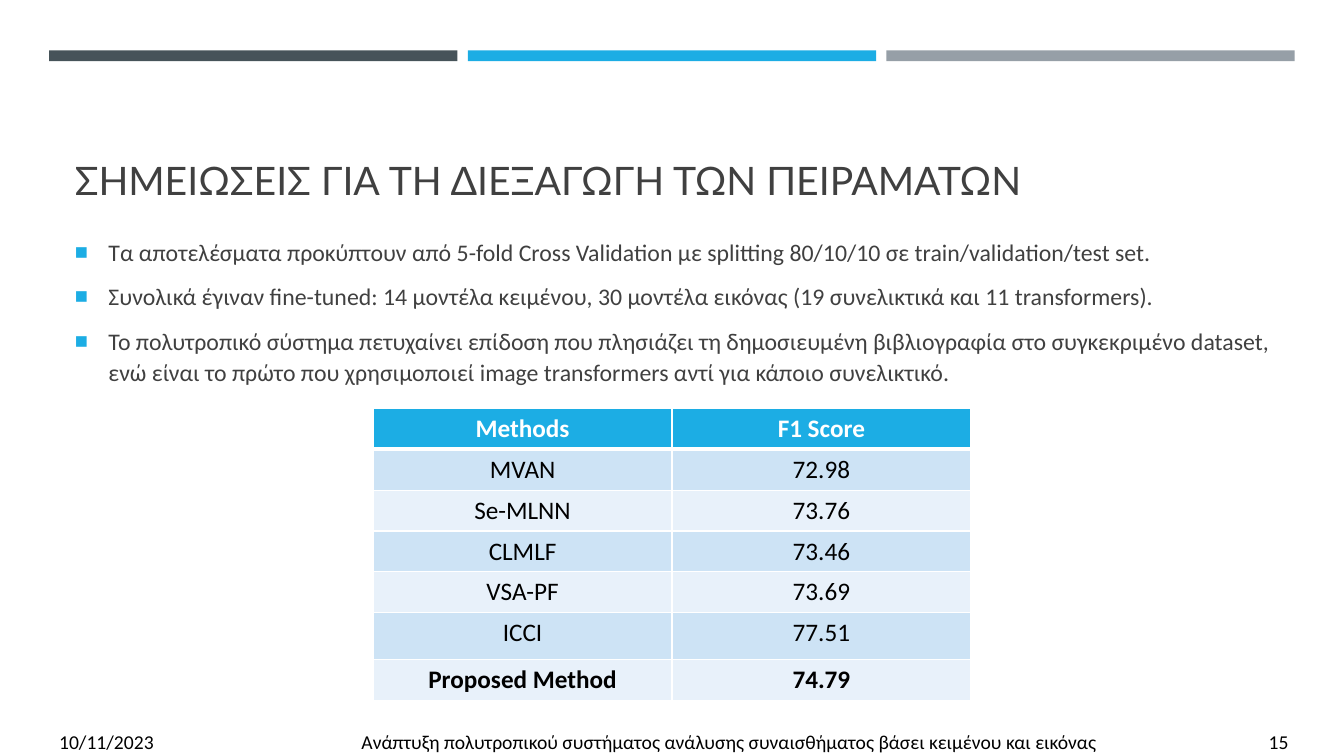
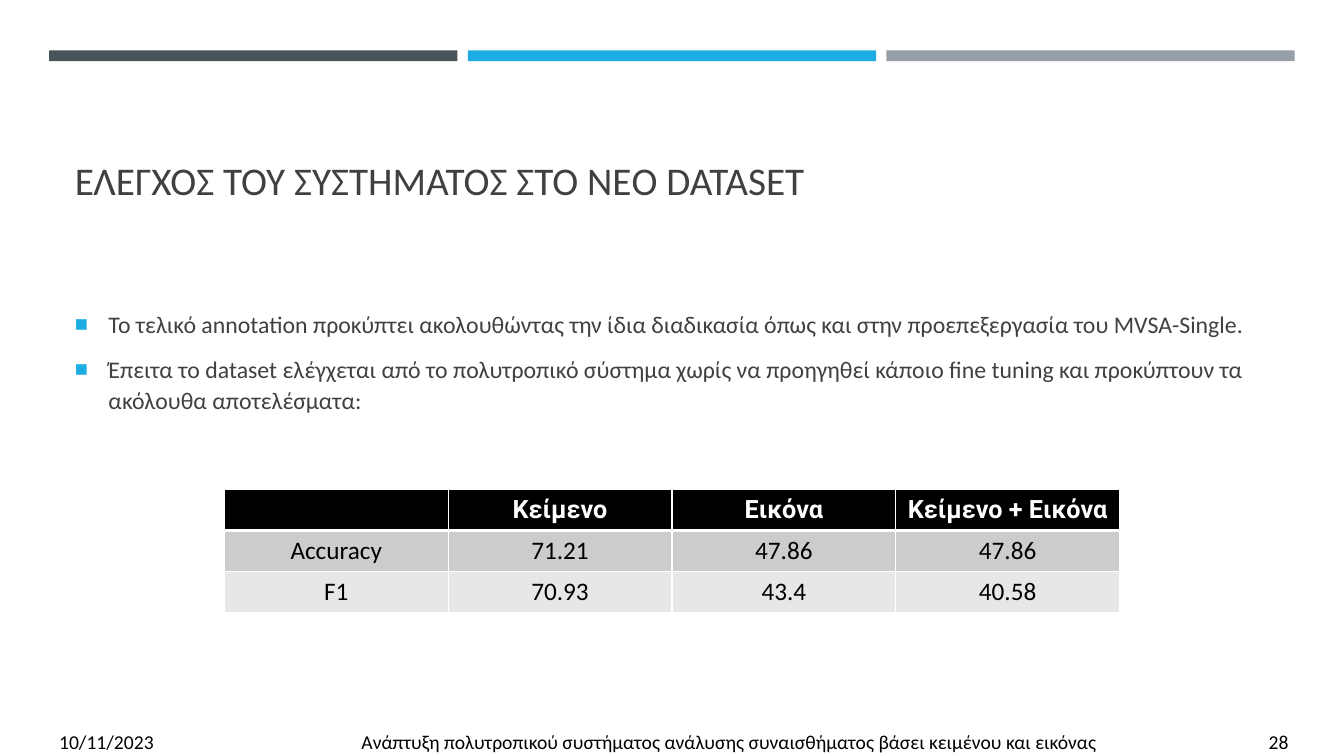
from lxml.etree import SubElement
from pptx import Presentation
from pptx.dml.color import RGBColor
from pptx.enum.shapes import MSO_SHAPE
from pptx.enum.text import MSO_ANCHOR, MSO_AUTO_SIZE, PP_ALIGN
from pptx.oxml.ns import qn
from pptx.util import Cm, Pt

COLORS = {
    "slate": "465359",
    "blue": "1CADE4",
    "gray": "969FA7",
    "text": "404040",
    "black": "000000",
    "white": "FFFFFF",
    "blue_band": "CDE3F5",
    "blue_light": "E8F1FA",
    "gray_band": "CCCCCC",
    "gray_light": "E7E7E7",
}
FOOTER = "Ανάπτυξη πολυτροπικού συστήματος ανάλυσης συναισθήματος βάσει κειμένου και εικόνας"
SLIDES = [
    {
        "title": "ΣΗΜΕΙΩΣΕΙΣ ΓΙΑ ΤΗ ΔΙΕΞΑΓΩΓΗ ΤΩΝ ΠΕΙΡΑΜΑΤΩΝ",
        "title_font": "Lato",
        "bullets": [
            "Τα αποτελέσματα προκύπτουν από 5-fold Cross Validation με splitting 80/10/10 σε train/validation/test set.",
            "Συνολικά έγιναν fine-tuned: 14 μοντέλα κειμένου, 30 μοντέλα εικόνας (19 συνελικτικά και 11 transformers).",
            "Το πολυτροπικό σύστημα πετυχαίνει επίδοση που πλησιάζει τη δημοσιευμένη βιβλιογραφία στο συγκεκριμένο dataset, ενώ είναι το πρώτο που χρησιμοποιεί image transformers αντί για κάποιο συνελικτικό.",
        ],
        "body_top": 5.7,
        "body_height": 4.25,
        "rows": [
            ["Methods", "F1 Score"],
            ["MVAN", "72.98"],
            ["Se-MLNN", "73.76"],
            ["CLMLF", "73.46"],
            ["VSA-PF", "73.69"],
            ["ICCI", "77.51"],
            ["Proposed Method", "74.79"],
        ],
        "table_top": 10.29,
        "column_width": 7.53,
        "tall_rows": {5: 1.18},
        "bold_rows": {0, 6},
        "header_font": "Calibri",
        "fills": ["blue", "blue_band", "blue_light"],
        "number": "15",
    },
    {
        "title": "ΕΛΕΓΧΟΣ ΤΟΥ ΣΥΣΤΗΜΑΤΟΣ ΣΤΟ ΝEΟ DATASET",
        "title_font": "Calibri",
        "bullets": [
            "Το τελικό annotation προκύπτει ακολουθώντας την ίδια διαδικασία όπως και στην προεπεξεργασία του MVSA-Single.",
            "Έπειτα το dataset ελέγχεται από το πολυτροπικό σύστημα χωρίς να προηγηθεί κάποιο fine tuning και προκύπτουν τα ακόλουθα αποτελέσματα:",
        ],
        "body_top": 6.5,
        "body_height": 5.18,
        "rows": [
            ["", "Κείμενο", "Εικόνα", "Κείμενο + Εικόνα"],
            ["Accuracy", "71.21", "47.86", "47.86"],
            ["F1", "70.93", "43.4", "40.58"],
        ],
        "table_top": 12.34,
        "column_width": 5.64,
        "tall_rows": {},
        "bold_rows": {0},
        "header_font": "Roboto",
        "fills": ["black", "gray_band", "gray_light"],
        "number": "28",
    },
]


def format_runs(paragraph, font_name, size, color, bold=False):
    for run in paragraph.runs:
        run.font.name = font_name
        run.font.size = Pt(size)
        run.font.bold = bold
        run.font.color.rgb = RGBColor.from_string(COLORS[color])


def add_borders(cell, top, bottom):
    properties = cell._tc.get_or_add_tcPr()
    for side, width in (("L", 1), ("R", 1), ("T", top), ("B", bottom)):
        line = SubElement(properties, qn(f"a:ln{side}"), w=str(Pt(width)))
        fill = SubElement(line, qn("a:solidFill"))
        SubElement(fill, qn("a:srgbClr"), val=COLORS["white"])


presentation = Presentation()
presentation.slide_width = Cm(33.87)
presentation.slide_height = Cm(19.05)

for content in SLIDES:
    slide = presentation.slides.add_slide(presentation.slide_layouts[1])

    for index, color in enumerate(("slate", "blue", "gray")):
        bar = slide.shapes.add_shape(
            MSO_SHAPE.RECTANGLE, Cm(1.24 + index * 10.55), Cm(1.27), Cm(10.29), Cm(0.27)
        )
        bar.shadow.inherit = False
        bar.fill.solid()
        bar.fill.fore_color.rgb = RGBColor.from_string(COLORS[color])
        bar.line.fill.background()

    title, body = slide.placeholders
    for shape, top, height, anchor in (
        (title, 1.95, 3.31, MSO_ANCHOR.BOTTOM),
        (body, content["body_top"], content["body_height"], MSO_ANCHOR.MIDDLE),
    ):
        shape.left, shape.top = Cm(1.63), Cm(top)
        shape.width, shape.height = Cm(30.63), Cm(height)
        shape.text_frame.auto_size = MSO_AUTO_SIZE.NONE
        shape.text_frame.vertical_anchor = anchor

    title.text_frame.text = content["title"]
    title_paragraph = title.text_frame.paragraphs[0]
    title_paragraph.alignment = PP_ALIGN.LEFT
    format_runs(title_paragraph, content["title_font"], 28, "text")

    body.text_frame.text = "\n".join(content["bullets"])
    for index, paragraph in enumerate(body.text_frame.paragraphs):
        properties = paragraph._p.get_or_add_pPr()
        properties.set("marL", str(Cm(0.85)))
        properties.set("indent", str(Cm(-0.85)))
        bullet_color = SubElement(properties, qn("a:buClr"))
        SubElement(bullet_color, qn("a:srgbClr"), val=COLORS["blue"])
        SubElement(properties, qn("a:buSzPct"), val="92000")
        SubElement(properties, qn("a:buFont"), typeface="Arial")
        SubElement(properties, qn("a:buChar"), char="■")
        paragraph.line_spacing = 1.1
        paragraph.space_before = Pt(3.4 if index else 0)
        paragraph.space_after = Pt(6)
        format_runs(paragraph, "Calibri", 17, "text")

    rows = content["rows"]
    column_count = len(rows[0])
    table_width = Cm(content["column_width"] * column_count)
    table = slide.shapes.add_table(
        len(rows), column_count, (presentation.slide_width - table_width) // 2,
        Cm(content["table_top"]), table_width, Cm(1.03 * len(rows)),
    ).table
    for column in table.columns:
        column.width = Cm(content["column_width"])
    for row_index, values in enumerate(rows):
        table.rows[row_index].height = Cm(content["tall_rows"].get(row_index, 1.03))
        is_header = row_index == 0
        fill_color = content["fills"][0 if is_header else 2 - row_index % 2]
        for column_index, value in enumerate(values):
            cell = table.cell(row_index, column_index)
            add_borders(cell, 3 if row_index == 1 else 1, 3 if is_header else 1)
            cell.fill.solid()
            cell.fill.fore_color.rgb = RGBColor.from_string(COLORS[fill_color])
            cell.text_frame.text = value
            paragraph = cell.text_frame.paragraphs[0]
            paragraph.alignment = PP_ALIGN.CENTER
            format_runs(
                paragraph,
                content["header_font"] if is_header else "Calibri",
                18,
                "white" if is_header else "black",
                row_index in content["bold_rows"],
            )

    footer = slide.shapes.add_textbox(Cm(1.24), Cm(18.26), Cm(31.55), Cm(0.86))
    footer.text_frame.word_wrap = True
    footer.text_frame.text = f"10/11/2023\t{FOOTER}\t{content['number']}"
    paragraph = footer.text_frame.paragraphs[0]
    tab_list = SubElement(paragraph._p.get_or_add_pPr(), qn("a:tabLst"))
    for position in (7.62, 30.48):
        SubElement(tab_list, qn("a:tab"), pos=str(Cm(position)), algn="l")
    format_runs(paragraph, "Calibri", 14, "black")

presentation.save("out.pptx")
